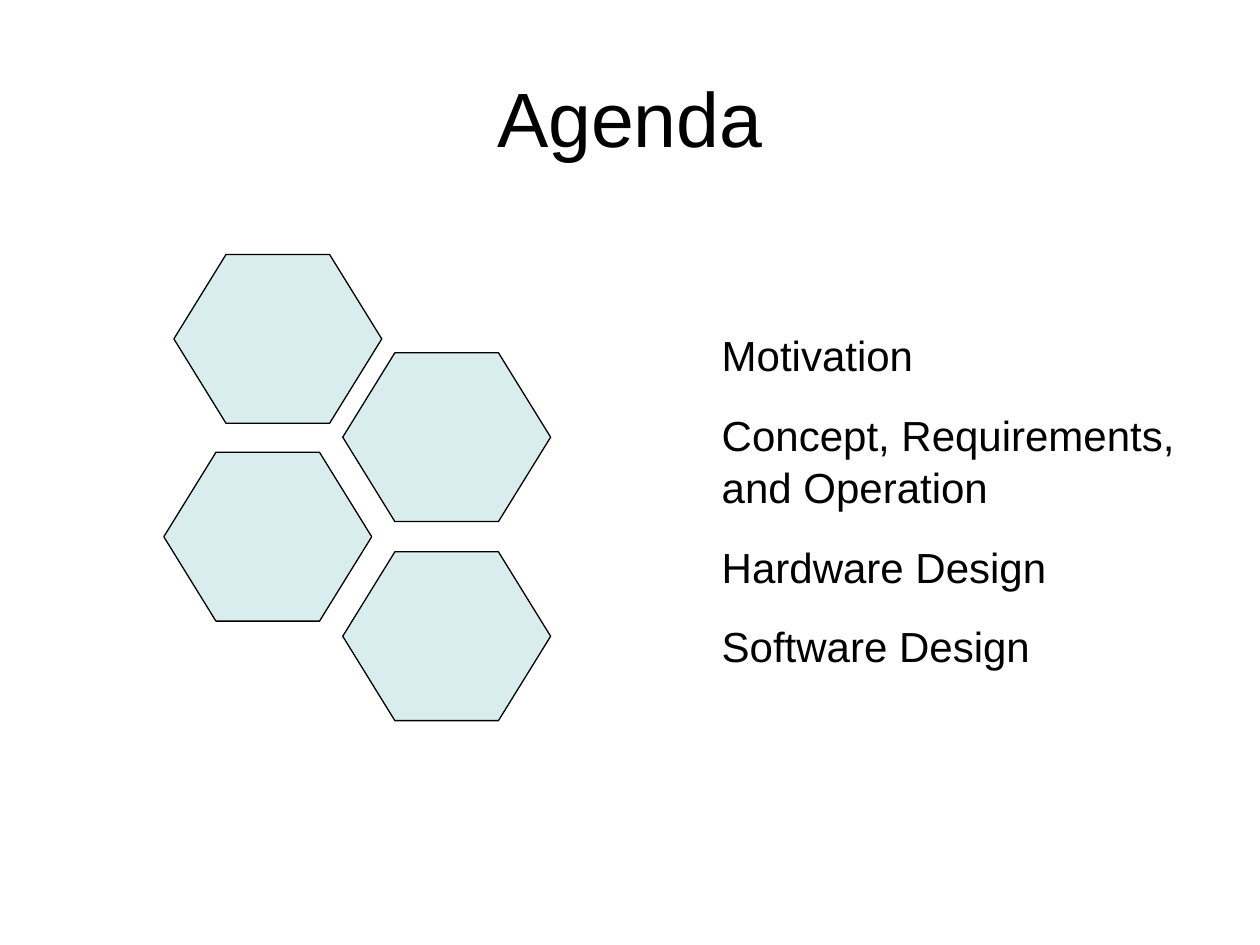
from pptx import Presentation
from pptx.dml.color import RGBColor
from pptx.enum import shapes, text
from pptx.util import Inches, Pt

BLACK = RGBColor(0x00, 0x00, 0x00)
PALE_BLUE = RGBColor(0xD9, 0xED, 0xEF)
FONT = "Arial"

HEXAGON_SIZE = (1.65, 1.34)
HEXAGON_PLACES = [(1.38, 2.02), (2.72, 2.8), (2.72, 4.38), (1.3, 3.59)]
TOPICS = [
    "Motivation",
    "Concept, Requirements, and Operation",
    "Hardware Design",
    "Software Design",
]


def add_text(page, lines, left, top, width, height, *, size,
             align=text.PP_ALIGN.LEFT, anchor=text.MSO_ANCHOR.TOP,
             gap=0, line_spacing=1.0):
    box = page.shapes.add_textbox(
        Inches(left), Inches(top), Inches(width), Inches(height))
    frame = box.text_frame
    frame.word_wrap = True
    frame.vertical_anchor = anchor
    frame.text = "\n".join(lines)
    for index, para in enumerate(frame.paragraphs):
        para.alignment = align
        para.line_spacing = line_spacing
        para.space_before = Pt(gap if index else 0)
        para.font.name = FONT
        para.font.size = Pt(size)
        para.font.color.rgb = BLACK
    return box


def add_hexagon(page, left, top):
    width, height = HEXAGON_SIZE
    hexagon = page.shapes.add_shape(
        shapes.MSO_SHAPE.HEXAGON,
        Inches(left), Inches(top), Inches(width), Inches(height))
    hexagon.adjustments[0] = 0.309
    hexagon.shadow.inherit = False
    hexagon.fill.solid()
    hexagon.fill.fore_color.rgb = PALE_BLUE
    hexagon.line.color.rgb = BLACK
    hexagon.line.width = Pt(0.75)


def main():
    deck = Presentation()
    deck.slide_width, deck.slide_height = Inches(10), Inches(7.5)
    page = deck.slides.add_slide(deck.slide_layouts[6])

    # Title
    add_text(page, ["Agenda"], 0.5, 0.3, 9, 1.25, size=44,
             align=text.PP_ALIGN.CENTER, anchor=text.MSO_ANCHOR.MIDDLE)

    # Honeycomb
    for left, top in HEXAGON_PLACES:
        add_hexagon(page, left, top)

    # Topics
    topics = add_text(page, TOPICS, 5.63, 2.55, 4.17, 2.73, size=24,
                      gap=15, line_spacing=1.05)
    topics.text_frame.auto_size = text.MSO_AUTO_SIZE.SHAPE_TO_FIT_TEXT

    deck.save("out.pptx")


if __name__ == "__main__":
    main()
